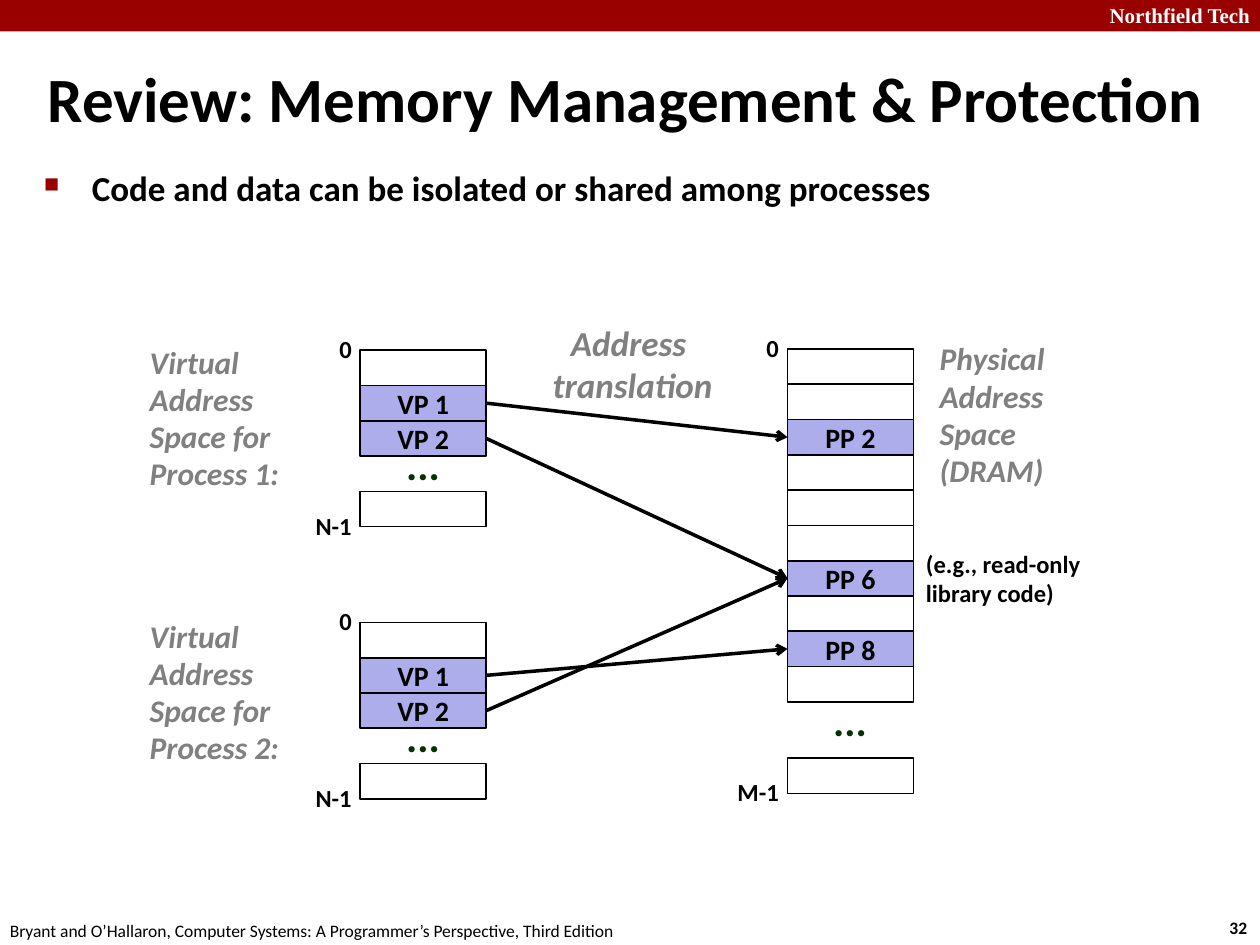
from lxml import etree
from pptx import Presentation, util as u
from pptx.dml.color import RGBColor
from pptx.enum import shapes, text
from pptx.oxml import ns

BLACK = RGBColor(0, 0, 0)
WHITE = RGBColor(255, 255, 255)
GREY = RGBColor(0x80, 0x80, 0x80)
MAROON = RGBColor(0x99, 0, 0)
LILAC = RGBColor(0xAD, 0xAD, 0xEB)
GREEN = RGBColor(0, 0x33, 0)
LEFT, CENTER, RIGHT = text.PP_ALIGN.LEFT, text.PP_ALIGN.CENTER, text.PP_ALIGN.RIGHT

WIDTH, HEIGHT = 10, 7.5
CELL_W, CELL_H = 1, 0.28
LABEL_W, LABEL_H, LABEL_OVERLAP = 0.6, 0.33, 0.03
DOTS_W, DOTS_H = 0.47, 0.45

SPACES = {
    "process 1": dict(left=2.86, top=2.78, rows=3, last_row=4, end="N-1",
                      pages={1: "VP 1", 2: "VP 2"}),
    "process 2": dict(left=2.86, top=4.94, rows=3, last_row=4, end="N-1",
                      pages={1: "VP 1", 2: "VP 2"}),
    "physical": dict(left=6.25, top=2.77, rows=10, last_row=11.6, end="M-1",
                     pages={2: "PP 2", 6: "PP 6", 8: "PP 8"}),
}
MAPPINGS = [
    ("process 1", "VP 1", "PP 2"),
    ("process 1", "VP 2", "PP 6"),
    ("process 2", "VP 2", "PP 6"),
    ("process 2", "VP 1", "PP 8"),
]
HEADING = dict(size=18, color=GREY, italic=True, spacing=0.98)
CAPTIONS = [
    ((1.09, 2.69, 1.5, 1.28), ["Virtual Address Space for Process 1:"], HEADING),
    ((1.09, 4.86, 1.5, 1.28), ["Virtual Address Space for Process 2:"], HEADING),
    ((7.36, 2.66, 1.17, 1.29), ["Physical", "Address", "Space (DRAM)"], HEADING),
    ((7.25, 4.32, 1.59, 0.56), ["(e.g., read-only", "library code)"],
     dict(size=14, spacing=0.98)),
    ((4.28, 2.5, 1.48, 0.77), ["Address ", "translation"],
     dict(size=20, color=GREY, italic=True, align=CENTER)),
]

prs = Presentation()
prs.slide_width, prs.slide_height = u.Inches(WIDTH), u.Inches(HEIGHT)
slide = prs.slides.add_slide(prs.slide_layouts[6])


def write(frame, lines, size, color=BLACK, bold=True, italic=False,
          align=LEFT, spacing=None, before=0, font="Calibri"):
    frame.text = "\n".join(lines)
    for paragraph in frame.paragraphs:
        paragraph.alignment = align
        paragraph.line_spacing = spacing
        paragraph.space_before = u.Pt(before)
        style = paragraph.runs[0].font
        style.name, style.size = font, u.Pt(size)
        style.bold, style.italic = bold, italic
        style.color.rgb = color


def add_text(box, lines, size, wrap=True, anchor=text.MSO_ANCHOR.TOP, **style):
    frame = slide.shapes.add_textbox(*map(u.Inches, box)).text_frame
    frame.word_wrap = wrap
    frame.vertical_anchor = anchor
    write(frame, lines, size, **style)
    return frame


def add_rect(box, fill=None, line=None):
    rect = slide.shapes.add_shape(shapes.MSO_SHAPE.RECTANGLE, *map(u.Inches, box))
    rect.shadow.inherit = False
    if fill is None:
        rect.fill.background()
    else:
        rect.fill.solid()
        rect.fill.fore_color.rgb = fill
    if line is None:
        rect.line.fill.background()
    else:
        rect.line.color.rgb = line
        rect.line.width = u.Pt(1)
    return rect


def add_space(left, top, rows, last_row, end, pages):
    cells = {}
    for row in [*range(rows), last_row]:
        page = pages.get(row)
        cell = add_rect((left, top + row * CELL_H, CELL_W, CELL_H),
                        LILAC if page else None, BLACK)
        if page:
            frame = cell.text_frame
            frame.margin_top = frame.margin_bottom = 0
            frame.vertical_anchor = text.MSO_ANCHOR.MIDDLE
            write(frame, [page], 16, align=CENTER)
            cells[page] = cell

    gap_middle = top + (rows + last_row) / 2 * CELL_H
    add_text((left + (CELL_W - DOTS_W) / 2, gap_middle - CELL_H, DOTS_W, DOTS_H),
             ["..."], 24, color=GREEN, wrap=False, spacing=0.88, before=9)

    label_left = left + LABEL_OVERLAP - LABEL_W
    for label, middle in (("0", top), (end, top + (last_row + 1) * CELL_H)):
        add_text((label_left, middle - LABEL_H / 2, LABEL_W, LABEL_H),
                 [label], 14, align=RIGHT, spacing=0.98)
    return cells


def add_arrow(start, finish):
    arrow = slide.shapes.add_connector(shapes.MSO_CONNECTOR.STRAIGHT, 0, 0, 0, 0)
    arrow.begin_connect(start, 3)
    arrow.end_connect(finish, 1)
    arrow.line.color.rgb = BLACK
    arrow.line.width = u.Pt(2)
    etree.SubElement(arrow.line._get_or_add_ln(), ns.qn("a:tailEnd"), type="arrow")
    etree.SubElement(arrow._element.spPr, ns.qn("a:effectLst"))


add_rect((0, 0, WIDTH, 0.25), MAROON)
add_text((8.4, -0.03, 1.62, 0.3), ["Northfield Tech"], 12, color=WHITE,
         align=RIGHT, font="Times New Roman")
add_text((9.66, 7.23, 0.37, 0.27), ["32"], 10, wrap=False)
add_text((-0.02, 7.25, 5.08, 0.27),
         ["Bryant and O’Hallaron, Computer Systems: A Programmer’s Perspective, Third Edition"],
         10, bold=False, wrap=False)
add_text((0.28, 0.46, 9.64, 0.63), ["Review: Memory Management & Protection"], 36,
         anchor=text.MSO_ANCHOR.MIDDLE)

point = add_text((0.25, 1.33, 9.58, 0.92),
                 ["Code and data can be isolated or shared among processes"],
                 20, spacing=0.83, before=12)
bullet = point.paragraphs[0]._p.get_or_add_pPr()
bullet.set("marL", str(u.Inches(0.38)))
bullet.set("indent", str(-u.Inches(0.38)))
bullet_color = etree.SubElement(bullet, ns.qn("a:buClr"))
etree.SubElement(bullet_color, ns.qn("a:srgbClr"), val=str(MAROON))
etree.SubElement(bullet, ns.qn("a:buSzPct"), val="60000")
etree.SubElement(bullet, ns.qn("a:buChar"), char="■")

for box, lines, style in CAPTIONS:
    add_text(box, lines, **style)

cells = {name: add_space(**space) for name, space in SPACES.items()}
for process, virtual_page, physical_page in MAPPINGS:
    add_arrow(cells[process][virtual_page], cells["physical"][physical_page])

prs.save("out.pptx")
